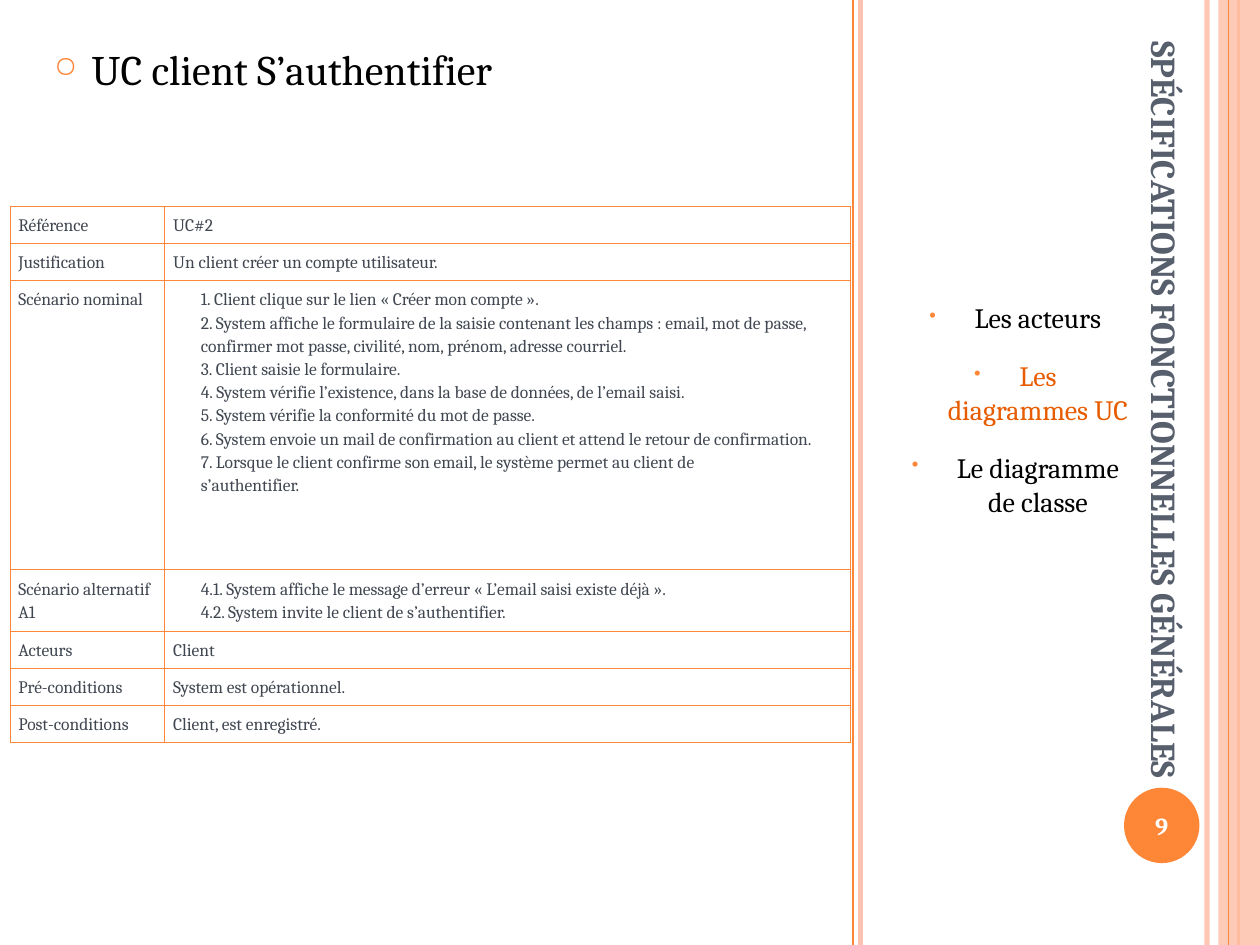
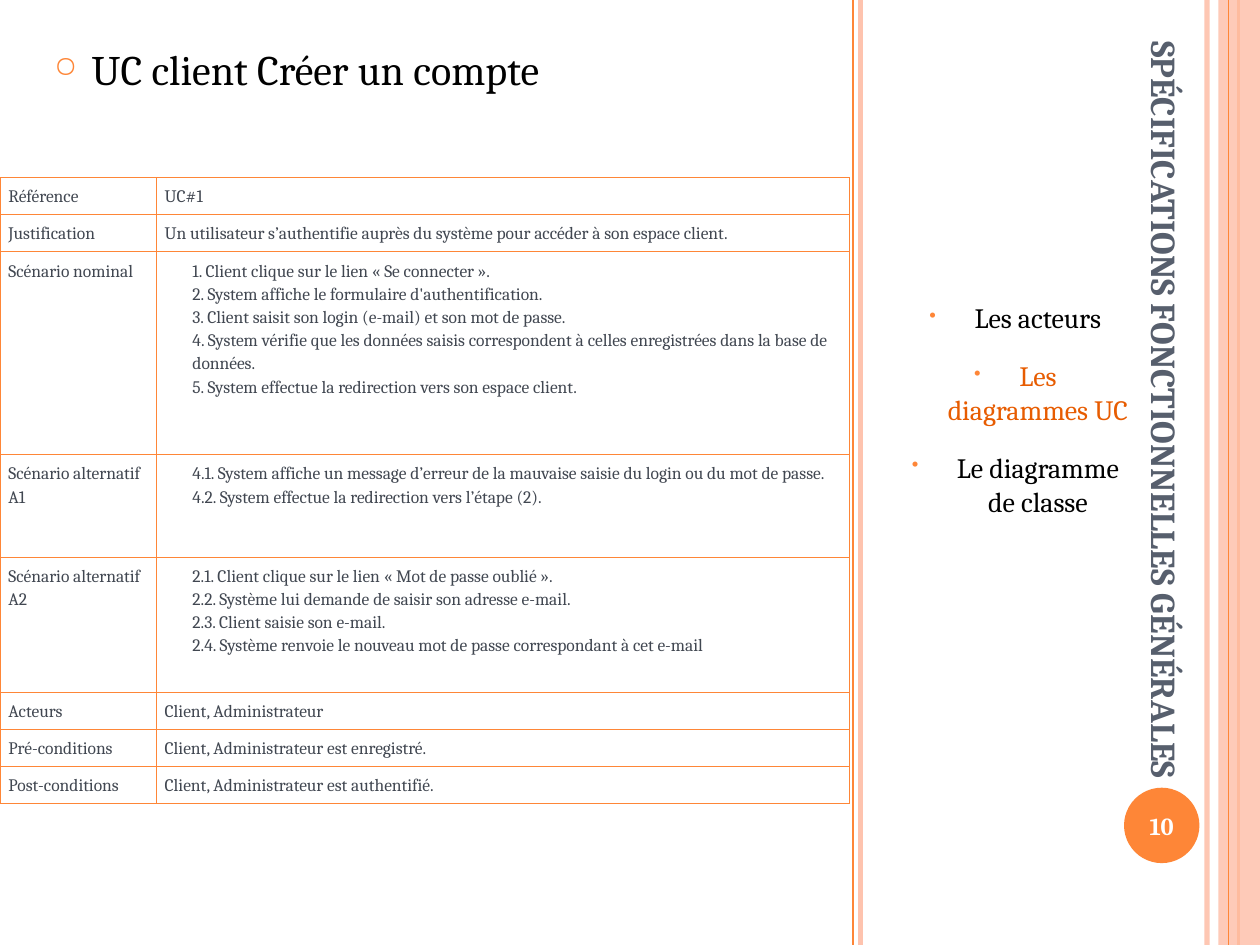
from dataclasses import dataclass

from lxml.etree import SubElement
from pptx import Presentation
from pptx.dml.color import RGBColor
from pptx.enum.shapes import MSO_CONNECTOR, MSO_SHAPE
from pptx.enum.text import MSO_ANCHOR, PP_ALIGN
from pptx.oxml.ns import qn
from pptx.util import Cm, Pt


@dataclass(frozen=True)
class Theme:
    font: str = "Cambria"
    orange: str = "FE8637"
    peach: str = "FEC3AE"
    active: str = "E75C01"
    slate: str = "575F6D"
    cell_text: str = "414751"
    black: str = "000000"
    white: str = "FFFFFF"
    heading_size: float = 24
    title_size: float = 20
    menu_size: float = 16
    number_size: float = 14
    cell_size: float = 10
    border: float = 0.45


WIDTH, HEIGHT = 25.4, 19.05
TITLE = "SPÉCIFICATIONS FONCTIONNELLES GÉNÉRALES"
MENU = ["Les acteurs", "Les diagrammes UC", "Le diagramme de classe"]
ACTIVE_ENTRY = MENU[1]


def set_alpha(fill_parent, percent):
    color = next(fill_parent.iter(qn("a:srgbClr")))
    SubElement(color, qn("a:alpha"), val=str(percent * 1000))


class Deck:
    def __init__(self, theme):
        self.theme = theme
        self.presentation = Presentation()
        self.presentation.slide_width = Cm(WIDTH)
        self.presentation.slide_height = Cm(HEIGHT)
        self.slide = None

    def new_slide(self):
        blank = self.presentation.slide_layouts[6]
        self.slide = self.presentation.slides.add_slide(blank)

    def format_runs(self, paragraph, size, color, bold=False):
        for run in paragraph.runs:
            run.font.name = self.theme.font
            run.font.size = Pt(size)
            run.font.bold = bold
            run.font.color.rgb = RGBColor.from_string(color)

    def vertical_rule(self, x, color, width, alpha=100):
        rule = self.slide.shapes.add_connector(
            MSO_CONNECTOR.STRAIGHT, Cm(x), Cm(0), Cm(x), Cm(HEIGHT))
        rule.line.color.rgb = RGBColor.from_string(color)
        rule.line.width = Pt(width)
        properties = rule._element.spPr
        if alpha < 100:
            set_alpha(properties, alpha)
        SubElement(properties, qn("a:effectLst"))

    def shape(self, kind, left, top, width, height, color, alpha=100):
        shape = self.slide.shapes.add_shape(
            kind, Cm(left), Cm(top), Cm(width), Cm(height))
        shape.shadow.inherit = False
        shape.fill.solid()
        shape.fill.fore_color.rgb = RGBColor.from_string(color)
        shape.line.fill.background()
        if alpha < 100:
            set_alpha(shape._element.spPr, alpha)
        return shape

    def text_box(self, left, top, width, height, text):
        box = self.slide.shapes.add_textbox(
            Cm(left), Cm(top), Cm(width), Cm(height))
        box.text_frame.word_wrap = True
        box.text_frame.text = text
        return box

    def bullet(self, paragraph, char, margin, hanging):
        properties = paragraph._p.get_or_add_pPr()
        properties.set("marL", str(Cm(margin)))
        properties.set("indent", str(-Cm(hanging)))
        color = SubElement(properties, qn("a:buClr"))
        SubElement(color, qn("a:srgbClr"), val=self.theme.orange)
        SubElement(properties, qn("a:buSzPct"), val="70000")
        SubElement(properties, qn("a:buChar"), char=char)

    def bands(self):
        theme = self.theme
        self.vertical_rule(24.33, theme.peach, 3, 93)
        self.vertical_rule(17.35, theme.peach, 3)
        self.vertical_rule(17.2, theme.orange, 1)
        self.vertical_rule(24.97, theme.orange, 1.5)
        self.shape(MSO_SHAPE.RECTANGLE, 24.56, 0, 0.84, HEIGHT, theme.peach, 87)
        self.vertical_rule(24.77, theme.orange, 0.75)

    def page_number(self, number):
        badge = self.shape(
            MSO_SHAPE.OVAL, 22.66, 15.88, 1.52, 1.52, self.theme.orange)
        frame = badge.text_frame
        frame.margin_left = frame.margin_right = Cm(0)
        frame.vertical_anchor = MSO_ANCHOR.MIDDLE
        frame.text = str(number)
        frame.paragraphs[0].alignment = PP_ALIGN.CENTER
        self.format_runs(
            frame.paragraphs[0], self.theme.number_size, self.theme.white, True)

    def side_title(self, text):
        title = self.text_box(14.81, 8.71, 17.53, 1.27, text)
        title.rotation = 90
        title.text_frame.vertical_anchor = MSO_ANCHOR.BOTTOM
        self.format_runs(title.text_frame.paragraphs[0],
                         self.theme.title_size, self.theme.slate, True)

    def menu(self, entries, active):
        box = self.text_box(17.65, 5.94, 5.36, 5.16, "\n".join(entries))
        for index, entry in enumerate(box.text_frame.paragraphs):
            self.bullet(entry, "•", 1.19, 0.91)
            entry.alignment = PP_ALIGN.CENTER
            entry.space_before = Pt(4 if index else 0)
            entry.space_after = Pt(10)
            color = self.theme.active if entry.text == active else self.theme.black
            self.format_runs(entry, self.theme.menu_size, color)

    def heading(self, text):
        box = self.text_box(0.84, 0.76, 15.67, 2.2, text)
        paragraph = box.text_frame.paragraphs[0]
        self.bullet(paragraph, "○", 0.76, 0.76)
        self.format_runs(paragraph, self.theme.heading_size, self.theme.black)

    def cell_borders(self, cell):
        properties = cell._tc.get_or_add_tcPr()
        for side in ("a:lnL", "a:lnR", "a:lnT", "a:lnB"):
            line = SubElement(properties, qn(side), w=str(Pt(self.theme.border)))
            fill = SubElement(line, qn("a:solidFill"))
            SubElement(fill, qn("a:srgbClr"), val=self.theme.orange)

    def fill_cell(self, cell, content):
        self.cell_borders(cell)
        cell.fill.solid()
        cell.fill.fore_color.rgb = RGBColor.from_string(self.theme.white)
        cell.margin_left = cell.margin_right = Cm(0.17)
        cell.margin_top = cell.margin_bottom = Cm(0.13)
        is_scenario = isinstance(content, list)
        cell.text_frame.text = "\n".join(content) if is_scenario else content
        for paragraph in cell.text_frame.paragraphs:
            paragraph.line_spacing = 1.15
            if is_scenario:
                paragraph._p.get_or_add_pPr().set("marL", str(Cm(0.56)))
            self.format_runs(paragraph, self.theme.cell_size, self.theme.cell_text)

    def use_case_table(self, left, top, column_widths, rows):
        heights = [height for height, _, _ in rows]
        table = self.slide.shapes.add_table(
            len(rows), 2, Cm(left), Cm(top),
            Cm(sum(column_widths)), Cm(sum(heights))).table
        table.first_row = table.horz_banding = False
        for column, width in zip(table.columns, column_widths):
            column.width = Cm(width)
        for index, (height, label, content) in enumerate(rows):
            table.rows[index].height = Cm(height)
            self.fill_cell(table.cell(index, 0), label)
            self.fill_cell(table.cell(index, 1), content)

    def use_case_slide(self, number, heading, left, top, column_widths, rows):
        self.new_slide()
        self.bands()
        self.page_number(number)
        self.side_title(TITLE)
        self.menu(MENU, ACTIVE_ENTRY)
        self.heading(heading)
        self.use_case_table(left, top, column_widths, rows)


LINE_ROW = 0.72

ACCOUNT_ROWS = [
    (LINE_ROW, "Référence", "UC#2"),
    (LINE_ROW, "Justification", "Un client créer un compte utilisateur."),
    (5.83, "Scénario nominal", [
        "1. Client clique sur le lien « Créer mon compte ».",
        "2. System affiche le formulaire de la saisie contenant les champs : email, "
        "mot de passe, confirmer mot passe, civilité, nom, prénom, adresse courriel.",
        "3. Client saisie le formulaire.",
        "4. System vérifie l’existence, dans la base de données, de l’email saisi.",
        "5. System vérifie la conformité du mot de passe.",
        "6. System envoie un mail de confirmation au client et attend le retour "
        "de confirmation.",
        "7. Lorsque le client confirme son email, le système permet au client de",
        "s’authentifier.",
    ]),
    (1.2, "Scénario alternatif A1", [
        "4.1. System affiche le message d’erreur « L’email saisi existe déjà ».",
        "4.2. System invite le client de s’authentifier.",
    ]),
    (LINE_ROW, "Acteurs", "Client"),
    (LINE_ROW, "Pré-conditions", "System est opérationnel."),
    (LINE_ROW, "Post-conditions", "Client, est enregistré."),
]

LOGIN_ROWS = [
    (LINE_ROW, "Référence", "UC#1"),
    (LINE_ROW, "Justification",
     "Un utilisateur s’authentifie auprès du système pour accéder à son espace client."),
    (4.09, "Scénario nominal", [
        "1. Client clique sur le lien « Se connecter ».",
        "2. System affiche le formulaire d'authentification.",
        "3. Client saisit son login (e-mail) et son mot de passe.",
        "4. System vérifie que les données saisis correspondent à celles "
        "enregistrées dans la base de données.",
        "5. System effectue la redirection vers son espace client.",
    ]),
    (2.06, "Scénario alternatif A1", [
        "4.1. System affiche un message d’erreur de la mauvaise saisie du login "
        "ou du mot de passe.",
        "4.2. System effectue la redirection vers l’étape (2).",
    ]),
    (2.73, "Scénario alternatif A2", [
        "2.1. Client clique sur le lien « Mot de passe oublié ».",
        "2.2. Système lui demande de saisir son adresse e-mail.",
        "2.3. Client saisie son e-mail.",
        "2.4. Système renvoie le nouveau mot de passe correspondant à cet e-mail",
    ]),
    (LINE_ROW, "Acteurs", "Client, Administrateur"),
    (LINE_ROW, "Pré-conditions", "Client, Administrateur est enregistré."),
    (LINE_ROW, "Post-conditions", "Client, Administrateur est authentifié."),
]


def main():
    deck = Deck(Theme())
    deck.use_case_slide(
        9, "UC client S’authentifier", 0.2, 4.16, (3.12, 13.82), ACCOUNT_ROWS)
    deck.use_case_slide(
        10, "UC client Créer un compte", 0, 3.58, (3.15, 13.97), LOGIN_ROWS)
    deck.presentation.save("out.pptx")


if __name__ == "__main__":
    main()
